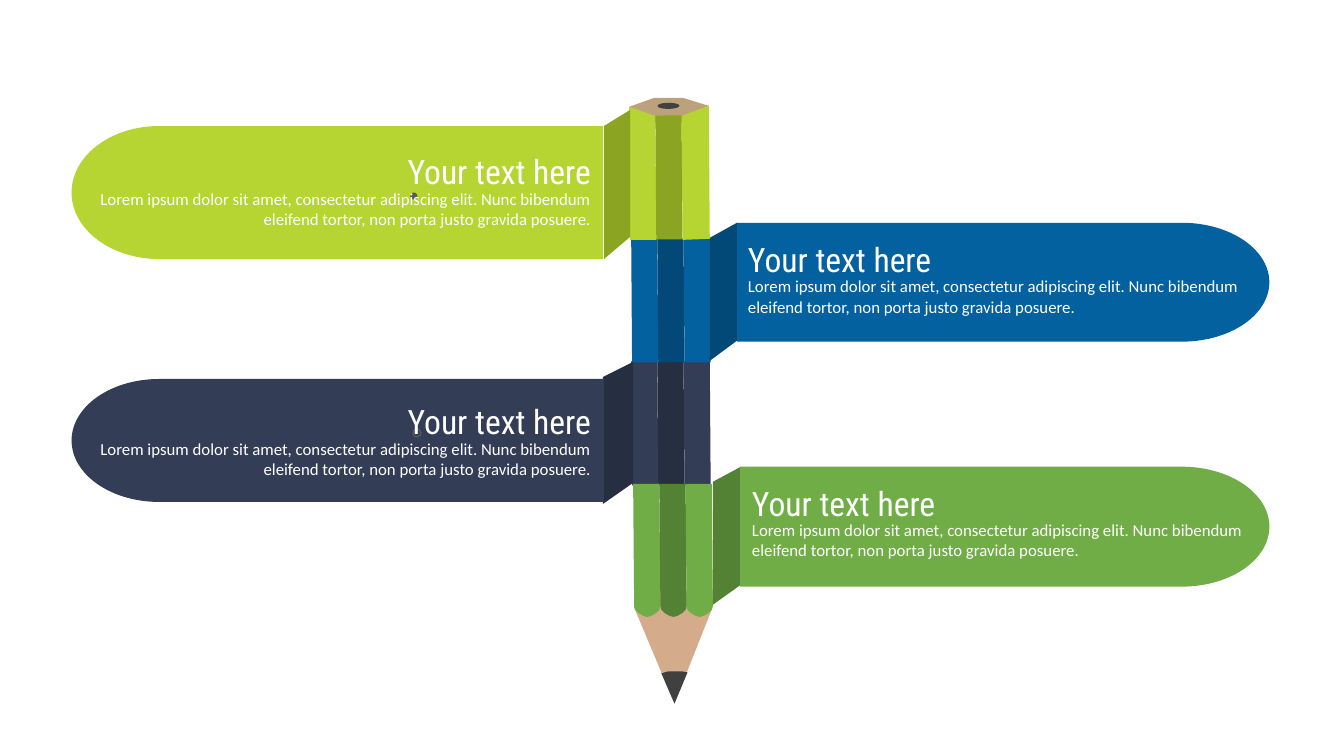
import math
from dataclasses import dataclass

from pptx import Presentation
from pptx import util as u
from pptx.dml.color import RGBColor
from pptx.enum import shapes, text

PX = 9144  # EMU per px, 100 px to the inch
LEAN = 269.6
PITCH = 26
LIME, LIME_DARK = "B6D532", "8BA422"
BLUE, BLUE_DARK = "03619F", "024977"
NAVY, NAVY_DARK = "333D56", "262E41"
GREEN, GREEN_DARK = "70AD47", "548235"
WOOD, WOOD_END, LEAD, DOT = "D4AC8C", "BBA17C", "404040", "595959"
WHITE = "FFFFFF"
TITLE = "Your text here"
BODY = ("Lorem ipsum dolor sit amet, consectetur adipiscing elit. "
        "Nunc bibendum eleifend tortor, non porta justo gravida posuere.")
END_RADIUS = 87
TEXT_WIDTH, TEXT_HEIGHT, BODY_DROP = 538, 50, 37

Point = tuple[float, float]


@dataclass(frozen=True)
class Outline:
    color: str
    points: list[Point]


@dataclass(frozen=True)
class Preset:
    kind: shapes.MSO_SHAPE
    left: int
    top: int
    width: int
    height: int
    color: str
    rotation: float = 0


@dataclass(frozen=True)
class Banner:
    """A ribbon from its flat edge to its round tip, with a fold to the pencil."""
    color: str
    shade: str
    flat: int
    tip: int
    top: int
    bottom: int
    fold: list[Point]
    text_left: int
    title_top: int


BANNERS = [
    Banner(BLUE, BLUE_DARK, 731, 1259, 221, 339,
           [(704, 236), (731, 221), (731, 338), (704, 358)], 732, 232),
    Banner(GREEN, GREEN_DARK, 734, 1259, 463, 582,
           [(707, 478), (735, 463), (735, 580), (707, 600)], 736, 474),
    Banner(LIME, LIME_DARK, 598, 71, 125, 257,
           [(599, 125), (625, 109), (625, 235), (599, 257)], 58, 145),
    Banner(NAVY, NAVY_DARK, 599, 71, 376, 498,
           [(598, 374), (628, 359), (628, 479), (598, 500)], 58, 393),
]


def stripe(left: int, top: int, color: str) -> Preset:
    return Preset(shapes.MSO_SHAPE.RECTANGLE, left, top, 123, 26, color, LEAN)


STRIPES = [
    stripe(578 + PITCH * column, top, color)
    for top, color, shade in [(407, NAVY, NAVY_DARK), (285, BLUE, BLUE_DARK)]
    for column, color in enumerate([color, shade, color])
]
PENCIL_TOP = [
    Outline(WOOD_END, [(644, 122), (624, 106), (649, 97), (677, 97), (703, 105), (683, 122)]),
    Outline(LIME, [(650, 115), (624, 106), (625, 238), (651, 238)]),
    stripe(602, 163, LIME_DARK),
    Outline(LIME, [(703, 105), (676, 115), (677, 238), (704, 237)]),
    Preset(shapes.MSO_SHAPE.OVAL, 660, 94, 6, 22, LEAD, LEAN),
]
SCALLOP = [(0, 480), (1, 601), (2, 605), (5, 608), (10, 611), (14, 612),
           (18, 611), (23, 608), (26, 605), (27, 601), (26, 480)]
PENCIL_TIP = [
    Outline(WOOD, [(707, 602), (669, 698), (629, 603), (629, 585), (707, 585)]),
    *(Outline(color, [(628 + PITCH * column + x, y) for x, y in SCALLOP])
      for column, color in enumerate([GREEN, GREEN_DARK, GREEN])),
    Outline(LEAD, [(656, 668), (663, 666), (670, 666), (676, 666), (682, 667), (669, 698)]),
]


def paint(shape, color: str) -> None:
    shape.shadow.inherit = False
    shape.fill.solid()
    shape.fill.fore_color.rgb = RGBColor.from_string(color)
    shape.line.fill.background()


def draw_outline(page, outline: Outline) -> None:
    start, *rest = [(round(x * PX), round(y * PX)) for x, y in outline.points]
    builder = page.shapes.build_freeform(*start)
    builder.add_line_segments(rest, close=True)
    paint(builder.convert_to_shape(), outline.color)


def draw_preset(page, preset: Preset):
    box = [v * PX for v in (preset.left, preset.top, preset.width, preset.height)]
    shape = page.shapes.add_shape(preset.kind, *box)
    shape.rotation = preset.rotation
    paint(shape, preset.color)
    return shape


def draw_part(page, part: Outline | Preset) -> None:
    if isinstance(part, Outline):
        draw_outline(page, part)
    else:
        draw_preset(page, part)


def draw_banner(page, banner: Banner) -> None:
    side = math.copysign(1, banner.tip - banner.flat)
    center = banner.tip - side * END_RADIUS
    middle, half = (banner.top + banner.bottom) / 2, (banner.bottom - banner.top) / 2
    angles = [math.radians(degree) for degree in range(-90, 91, 3)]
    arc = [(center + side * END_RADIUS * math.cos(a), middle + half * math.sin(a))
           for a in angles]
    draw_outline(page, Outline(banner.shade, banner.fold))
    draw_outline(page, Outline(
        banner.color, [(banner.flat, banner.top), *arc, (banner.flat, banner.bottom)]))


def add_label(page, left: int, top: int, wording: str, size: int, font: str,
              alignment: text.PP_ALIGN) -> None:
    box = page.shapes.add_textbox(left * PX, top * PX, TEXT_WIDTH * PX, TEXT_HEIGHT * PX)
    frame = box.text_frame
    frame.word_wrap = True
    frame.auto_size = text.MSO_AUTO_SIZE.SHAPE_TO_FIT_TEXT
    frame.text = wording
    para = frame.paragraphs[0]
    para.alignment = alignment
    span = para.runs[0]
    span.font.size = u.Pt(size)
    span.font.name = font
    span.font.color.rgb = RGBColor.from_string(WHITE)


def add_banner_text(page, banner: Banner) -> None:
    alignment = text.PP_ALIGN.RIGHT if banner.tip < banner.flat else text.PP_ALIGN.LEFT
    add_label(page, banner.text_left, banner.title_top + BODY_DROP, BODY, 12,
              "Calibri", alignment)
    add_label(page, banner.text_left, banner.title_top, TITLE, 24,
              "Roboto Condensed", alignment)


def main() -> None:
    deck = Presentation()
    deck.slide_width, deck.slide_height = 1333 * PX, 750 * PX
    page = deck.slides.add_slide(deck.slide_layouts[6])
    for part in STRIPES + PENCIL_TOP + PENCIL_TIP:
        draw_part(page, part)
    for banner in BANNERS:
        draw_banner(page, banner)
    ring = draw_preset(page, Preset(shapes.MSO_SHAPE.DONUT, 409, 425, 9, 9, DOT))
    ring.adjustments[0] = 0.15
    draw_preset(page, Preset(shapes.MSO_SHAPE.OVAL, 407, 191, 7, 7, DOT))
    for banner in BANNERS:
        add_banner_text(page, banner)
    deck.save("out.pptx")


if __name__ == "__main__":
    main()
